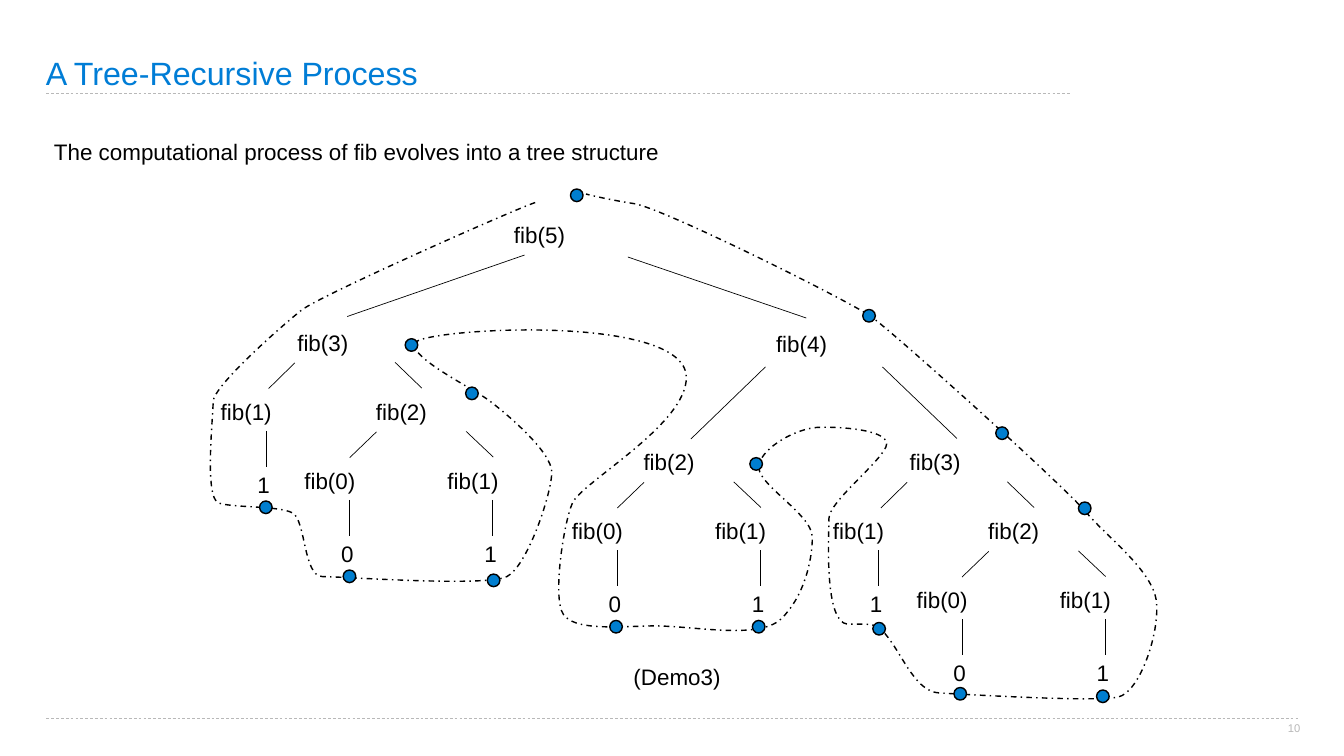
"""Draws the call tree of fib(5) and the order in which it is evaluated."""
from collections import namedtuple

from lxml import etree
from pptx import Presentation
from pptx import util as u
from pptx.dml.color import RGBColor
from pptx.enum import dml, shapes, text
from pptx.oxml import ns

PX = 9144
NODE_SIZE = (203, 71)
DIGIT_SIZE = (57, 71)
DOT = 25
THEME = {
    "font": "Arial", "ink": RGBColor.from_string("000000"), "title": RGBColor.from_string("007DD6"),
    "muted": RGBColor.from_string("B8B8B8"), "dot": RGBColor.from_string("007ECF"),
    "title_size": 46, "body_size": 32, "number_size": 16,
}
Knot = namedtuple("Knot", "x y dx dy lead", defaults=[1])

presentation = Presentation()
presentation.slide_width, presentation.slide_height = 2667 * PX, 1500 * PX
slide = presentation.slides.add_slide(presentation.slide_layouts[6])


def add_text(content, left, top, width, height, size="body_size", color="ink",
             anchor=text.MSO_ANCHOR.MIDDLE, inset=6, indent=9):
    box = slide.shapes.add_textbox(left * PX, top * PX, width * PX, height * PX)
    frame = box.text_frame
    frame.word_wrap = True
    frame.vertical_anchor = anchor
    frame.margin_left = (inset + indent) * PX
    frame.margin_top = frame.margin_right = frame.margin_bottom = inset * PX
    paragraph = frame.paragraphs[0]
    paragraph.text = content
    paragraph.font.name = THEME["font"]
    paragraph.font.size = u.Pt(THEME[size])
    paragraph.font.color.rgb = THEME[color]
    return paragraph


def add_line(x1, y1, x2, y2, color="ink", dash=None):
    line = slide.shapes.add_connector(
        shapes.MSO_CONNECTOR.STRAIGHT, x1 * PX, y1 * PX, x2 * PX, y2 * PX)
    line.line.color.rgb = THEME[color]
    line.line.width = u.Pt(1)
    line.line.dash_style = dash
    etree.SubElement(line._element.spPr, ns.qn("a:effectLst"))


for rule_y, rule_right in [(186, 2126), (1426, 2578)]:
    add_line(92, rule_y, rule_right, rule_y, "muted", dml.MSO_LINE.DASH)

title = add_text("A Tree-Recursive Process", 91, 0, 2031, 183, "title_size", "title",
                 text.MSO_ANCHOR.BOTTOM, 0, 0)
title.line_spacing = 0.9
add_text("The computational process of fib evolves into a tree structure",
         92, 268, 2485, 133, anchor=text.MSO_ANCHOR.TOP)
page_number = add_text("10", 2555, 1432, 26, 24, "number_size", "muted",
                       text.MSO_ANCHOR.TOP, 0, 0)
page_number.alignment = text.PP_ALIGN.CENTER

add_text("fib(5)", 1005, 429, *NODE_SIZE)
add_text("fib(4)", 1525, 646, *NODE_SIZE)
fib_5_branches = [(1041, 506, 689, 628), (1246, 510, 1600, 631)]
fib_4_branches = [(1519, 728, 1371, 871), (1751, 728, 1899, 870)]
for branch in fib_5_branches + fib_4_branches:
    add_line(*branch)

fib_3_nodes = [(575, 644), (1790, 881)]
fib_2_nodes = [(1262, 881)]
leaves = []
for x, y in fib_3_nodes:
    add_text("fib(3)", x, y, *NODE_SIZE)
    add_line(x + 10, y + 76, x - 42, y + 127)
    add_line(x + 209, y + 75, x + 262, y + 126)
    leaves.append((1, x - 152, y + 137))
    fib_2_nodes.append((x + 156, y + 137))

for x, y in fib_2_nodes:
    add_text("fib(2)", x, y, *NODE_SIZE)
    add_line(x + 16, y + 76, x - 37, y + 127)
    add_line(x + 194, y + 75, x + 248, y + 126)
    leaves += [(0, x - 142, y + 137), (1, x + 142, y + 137)]

for value, x, y in leaves:
    add_text(f"fib({value})", x, y, *NODE_SIZE)
    add_text(str(value), x + 73, y + 144, *DIGIT_SIZE)
    add_line(x + 105, y + 74, x + 105, y + 145)

around_left_fib_3 = [
    Knot(1062, 402, -33, 10), Knot(599, 615, -37, 29), Knot(423, 797, 0, 31),
    Knot(434, 998, 29, 10), Knot(581, 1018, 26, 15), Knot(640, 1144, 38, 0),
    Knot(1006, 1144, 41, -21), Knot(1095, 937, 0, -41), Knot(971, 795, -33, -25),
    Knot(824, 680, 15, -28),
]
around_middle_fib_2 = [
    Knot(1362, 748, 2, 94, 1.36), Knot(1136, 998, -18, 41), Knot(1118, 1219, 22, 31),
    Knot(1291, 1242, 79, -2), Knot(1550, 1228, 45, -43), Knot(1612, 1066, 0, -47),
    Knot(1506, 922, 9, -37), Knot(1622, 848, 39, -2),
]
around_right_fib_3 = [
    Knot(1758, 887, -16, 35), Knot(1645, 1029, 0, 33), Knot(1674, 1236, 12, 7, 3.2),
    Knot(1748, 1248, 41, 41, 0.41), Knot(1864, 1375, 74, 4, 0.7), Knot(2219, 1383, 43, -10),
    Knot(2295, 1195, -6, -62),
]
back_to_root = [
    Knot(2155, 1016, -43, -51), Knot(1727, 627, -45, -31), Knot(1258, 404, -58, -9),
    Knot(1163, 385, 0, 0),
]
knots = around_left_fib_3 + around_middle_fib_2 + around_right_fib_3 + back_to_root

trail_points = []
for start, end in zip(knots, knots[1:]):
    leaving = (start.x + start.dx, start.y + start.dy)
    arriving = (end.x - end.dx * end.lead, end.y - end.dy * end.lead)
    trail_points += [leaving, arriving, (end.x, end.y)]

builder = slide.shapes.build_freeform(knots[0].x, knots[0].y, scale=PX)
builder.add_line_segments(trail_points, close=False)
trail = builder.convert_to_shape()
trail.shadow.inherit = False
trail.fill.background()
trail.line.color.rgb = THEME["ink"]
trail.line.width = u.Pt(2)
trail.line.dash_style = dml.MSO_LINE.DASH_DOT

segments = list(trail._element.iter(ns.qn("a:lnTo")))
outline = segments[0].getparent()
for triple in zip(segments[::3], segments[1::3], segments[2::3]):
    curve = etree.SubElement(outline, ns.qn("a:cubicBezTo"))
    for segment in triple:
        curve.append(segment[0])
        outline.remove(segment)

leaf_dots = [(515, 994), (681, 1131), (967, 1139), (1210, 1231), (1493, 1231),
             (1732, 1235), (1893, 1364), (2176, 1369)]
fib_2_dots = [(924, 768), (1488, 908), (2140, 996)]
fib_3_dots = [(804, 672), (1976, 847)]
fib_4_dot, fib_5_dot = (1712, 614), (1132, 375)
for x, y in leaf_dots + fib_2_dots + fib_3_dots + [fib_4_dot, fib_5_dot]:
    dot = slide.shapes.add_shape(shapes.MSO_SHAPE.OVAL, x * PX, y * PX, DOT * PX, DOT * PX)
    dot.shadow.inherit = False
    dot.fill.solid()
    dot.fill.fore_color.rgb = THEME["dot"]
    dot.line.color.rgb = THEME["ink"]
    dot.line.width = u.Pt(2)

add_text("(Demo3)", 1242, 1309, 218, 65)
presentation.save("out.pptx")
